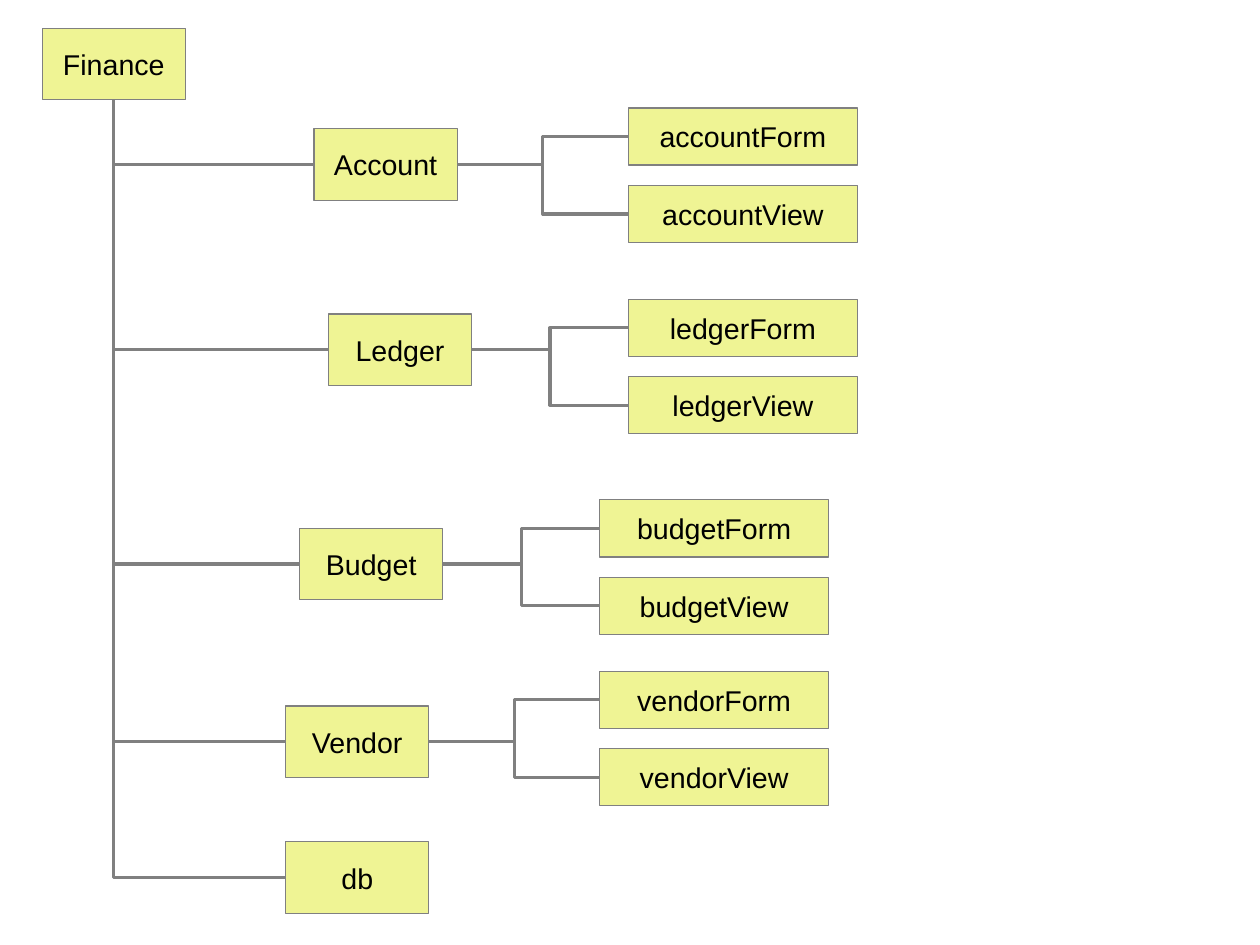
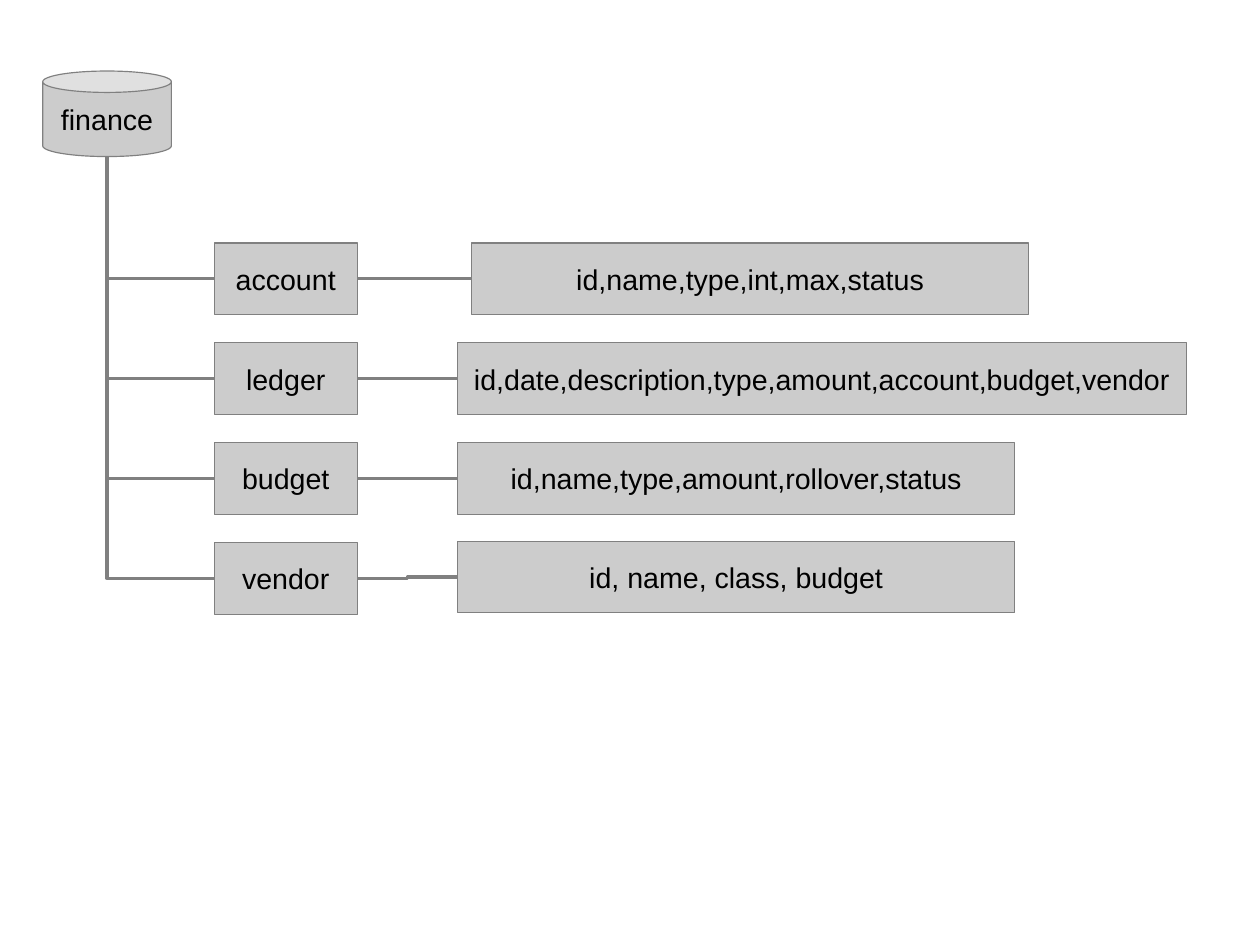
from dataclasses import dataclass
from lxml.etree import SubElement
from pptx import Presentation
from pptx.dml.color import RGBColor
from pptx.enum.shapes import MSO_CONNECTOR, MSO_SHAPE
from pptx.enum.text import MSO_ANCHOR, PP_ALIGN
from pptx.oxml.ns import qn
from pptx.util import Cm, Pt


@dataclass(frozen=True)
class Theme:
    font: str = "Arial"
    size: int = 18
    text: str = "000000"
    line: str = "808080"
    code: str = "EFF494"
    data: str = "CCCCCC"


@dataclass(frozen=True)
class Box:
    """A region in centimetres."""
    left: float
    top: float
    width: float
    height: float

    def near(self, right, down, width, height):
        """A box offset from this one's top left corner."""
        return Box(self.left + right, self.top + down, width, height)


THEME = Theme()
NODE = (3.18, 1.59)
LEAF = (5.08, 1.27)
LEAF_STEP = 1.72
ROW_STEP = 2.22

# module, offset from the root, offset of its first leaf from the module
MODULES = [
    ("Account", (6.04, 2.23), (6.99, -0.46)),
    ("Ledger", (6.36, 6.35), (6.67, -0.33)),
    ("Budget", (5.72, 11.11), (6.67, -0.63)),
    ("Vendor", (5.41, 15.06), (6.98, -0.77)),
    ("db", (5.41, 18.08), None),
]

# table, its fields, offset of the fields from the table, their width
TABLES = [
    ("account", "id,name,type,int,max,status", (5.72, 0), 12.38),
    ("ledger", "id,date,description,type,amount,account,budget,vendor",
     (5.41, 0), 16.19),
    ("budget", "id,name,type,amount,rollover,status", (5.41, 0), 12.38),
    ("vendor", "id, name, class, budget", (5.41, -0.03), 12.38),
]


def rgb(code):
    return RGBColor.from_string(code)


def stroke(line):
    line.color.rgb = rgb(THEME.line)
    line.width = Pt(0)


def node(slide, box, text, fill, kind=MSO_SHAPE.RECTANGLE, wrap=True):
    shape = slide.shapes.add_shape(
        kind, Cm(box.left), Cm(box.top), Cm(box.width), Cm(box.height))
    shape.shadow.inherit = False
    shape.fill.solid()
    shape.fill.fore_color.rgb = rgb(fill)
    stroke(shape.line)
    frame = shape.text_frame
    frame.word_wrap = wrap
    frame.vertical_anchor = MSO_ANCHOR.MIDDLE
    para = frame.paragraphs[0]
    para.alignment = PP_ALIGN.CENTER
    run = para.add_run()
    run.text = text
    run.font.name = THEME.font
    run.font.size = Pt(THEME.size)
    run.font.color.rgb = rgb(THEME.text)
    return shape


def link(slide, start, end, site=3):
    """Join a site of one shape to the left side of another."""
    level = start.top + start.height // 2 == end.top + end.height // 2
    kind = MSO_CONNECTOR.STRAIGHT if level else MSO_CONNECTOR.ELBOW
    wire = slide.shapes.add_connector(kind, 0, 0, 0, 0)
    wire.begin_connect(start, site)
    wire.end_connect(end, 1)
    stroke(wire.line)
    SubElement(wire._element.spPr, qn("a:effectLst"))
    return wire


def drop(slide, root, end, site=2):
    """Run down from the root's bottom, then right into a shape."""
    wire = link(slide, root, end, site)
    x, y = root.left + root.width // 2, root.top + root.height
    across = end.left - x
    down = end.top + end.height // 2 - y
    # A quarter turn swaps width and height about the same centre.
    wire.left, wire.top = x + (across - down) // 2, y + (down - across) // 2
    wire.width, wire.height = down, across
    props = wire._element.spPr
    props.find(qn("a:prstGeom")).set("prst", "bentConnector2")
    frame = props.find(qn("a:xfrm"))
    for key, value in (("rot", "16200000"), ("flipH", "1"), ("flipV", "0")):
        frame.set(key, value)


def leaves(slide, parent, box, name):
    for i, suffix in enumerate(("Form", "View")):
        spot = box.near(0, i * LEAF_STEP, *LEAF)
        leaf = node(slide, spot, name.lower() + suffix, THEME.code)
        link(slide, parent, leaf)


def code_tree(slide, box):
    root = node(slide, box, "Finance", THEME.code)
    for name, shift, fork in MODULES:
        spot = box.near(*shift, *NODE)
        module = node(slide, spot, name, THEME.code)
        drop(slide, root, module)
        if fork:
            leaves(slide, module, spot.near(*fork, *LEAF), name)


def data_tree(slide, box):
    root = node(slide, box, "finance", THEME.data, MSO_SHAPE.CAN, wrap=False)
    for i, (name, fields, shift, width) in enumerate(TABLES):
        spot = box.near(3.81, 3.82 + i * ROW_STEP, *NODE)
        table = node(slide, spot, name, THEME.data)
        drop(slide, root, table, site=3)  # a can's bottom is site 3
        row = node(slide, spot.near(*shift, width, NODE[1]), fields, THEME.data)
        link(slide, table, row)


def main():
    deck = Presentation()
    deck.slide_width, deck.slide_height = Cm(28), Cm(21)
    blank = deck.slide_layouts[6]
    code_tree(deck.slides.add_slide(blank), Box(0.94, 0.63, *NODE))
    data_tree(deck.slides.add_slide(blank), Box(0.95, 1.58, 2.86, 1.9))
    deck.save("out.pptx")


if __name__ == "__main__":
    main()
